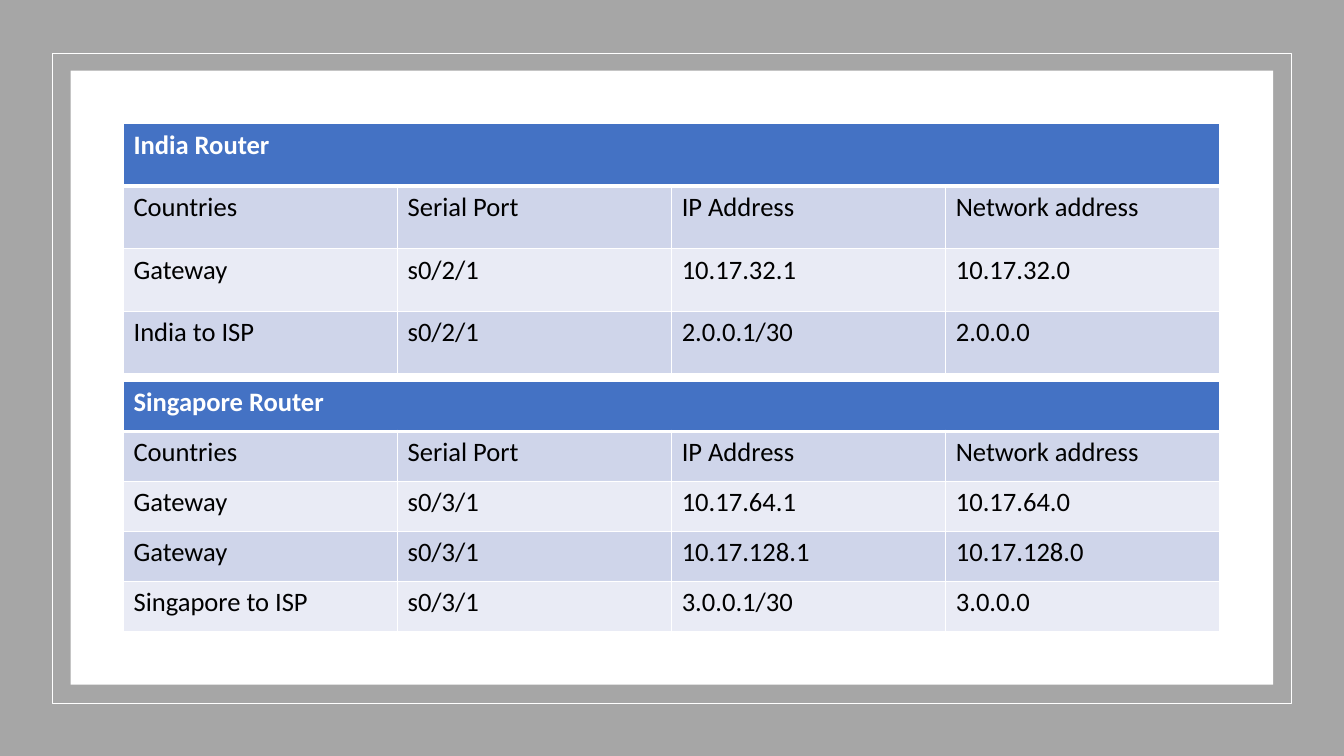
from dataclasses import dataclass

from lxml import etree
from pptx import Presentation
from pptx.dml.color import RGBColor
from pptx.enum import shapes
from pptx.oxml import ns
from pptx.util import Pt

# Content
HEADINGS = ("Countries", "Serial Port", "IP Address", "Network address")
ROUTERS = [
    ("India Router", [
        HEADINGS,
        ("Gateway", "s0/2/1", "10.17.32.1", "10.17.32.0"),
        ("India to ISP", "s0/2/1", "2.0.0.1/30", "2.0.0.0"),
    ]),
    ("Singapore Router", [
        HEADINGS,
        ("Gateway", "s0/3/1", "10.17.64.1", "10.17.64.0"),
        ("Gateway", "s0/3/1", "10.17.128.1", "10.17.128.0"),
        ("Singapore to ISP", "s0/3/1", "3.0.0.1/30", "3.0.0.0"),
    ]),
]


@dataclass(frozen=True)
class Theme:
    font: str = "Calibri"
    size: float = 19
    backdrop: str = "A6A6A6"
    white: str = "FFFFFF"
    text: str = "000000"
    title: str = "4472C4"
    bands: tuple = ("CFD5EA", "E9EBF5")
    rule: float = 1
    title_rule: float = 3


THEME = Theme()

# Layout, in points
PAGE_WIDTH, PAGE_HEIGHT = 960, 540
FRAME = (37.5, 38, 885, 464.5)
PANEL = (50.5, 50.5, 859, 438.5)
TABLE_LEFT, TABLE_TOP = 88.2, 88.4
TABLE_WIDTH, TABLE_HEIGHT = 783.2, 178.6
TABLE_STEP = 184


def add_rectangle(page, bounds, fill=None, line=None):
    box = page.shapes.add_shape(shapes.MSO_SHAPE.RECTANGLE, *map(Pt, bounds))
    box.shadow.inherit = False
    if fill:
        box.fill.solid()
        box.fill.fore_color.rgb = RGBColor.from_string(fill)
    else:
        box.fill.background()
    if line:
        box.line.color.rgb = RGBColor.from_string(line)
        box.line.width = Pt(THEME.rule)
    else:
        box.line.fill.background()


def add_borders(cell, bottom_width):
    properties = cell._tc.get_or_add_tcPr()
    for index, side in enumerate("LRTB"):
        width = bottom_width if side == "B" else THEME.rule
        border = etree.Element(ns.qn(f"a:ln{side}"), w=str(int(Pt(width))))
        fill = etree.SubElement(border, ns.qn("a:solidFill"))
        etree.SubElement(fill, ns.qn("a:srgbClr"), val=THEME.white)
        properties.insert(index, border)


def style_cell(cell, fill, bottom_width):
    cell.fill.solid()
    cell.fill.fore_color.rgb = RGBColor.from_string(fill)
    add_borders(cell, bottom_width)


def write_cell(cell, words, color, bold):
    span = cell.text_frame.paragraphs[0].add_run()
    span.text = words
    span.font.name = THEME.font
    span.font.size = Pt(THEME.size)
    span.font.bold = bold
    span.font.color.rgb = RGBColor.from_string(color)


def add_router_table(page, top, title, rows):
    row_count, column_count = len(rows) + 1, len(HEADINGS)
    table = page.shapes.add_table(
        row_count, column_count, Pt(TABLE_LEFT), Pt(top),
        Pt(TABLE_WIDTH), Pt(TABLE_HEIGHT)).table
    for column in table.columns:
        column.width = Pt(TABLE_WIDTH / column_count)
    for row in table.rows:
        row.height = Pt(TABLE_HEIGHT / row_count)

    # Title row across all columns
    table.cell(0, 0).merge(table.cell(0, column_count - 1))
    for column_index in range(column_count):
        style_cell(table.cell(0, column_index), THEME.title, THEME.title_rule)
    write_cell(table.cell(0, 0), title, THEME.white, True)

    # Banded rows
    for row_index, row in enumerate(rows):
        for column_index, words in enumerate(row):
            cell = table.cell(row_index + 1, column_index)
            style_cell(cell, THEME.bands[row_index % 2], THEME.rule)
            write_cell(cell, words, THEME.text, False)


def main():
    deck = Presentation()
    deck.slide_width, deck.slide_height = Pt(PAGE_WIDTH), Pt(PAGE_HEIGHT)
    page = deck.slides.add_slide(deck.slide_layouts[6])

    # Backdrop, frame line and white panel
    add_rectangle(page, (0, 0, PAGE_WIDTH, PAGE_HEIGHT), fill=THEME.backdrop)
    add_rectangle(page, FRAME, line=THEME.white)
    add_rectangle(page, PANEL, fill=THEME.white)

    # One table per router
    for index, (title, rows) in enumerate(ROUTERS):
        add_router_table(page, TABLE_TOP + index * TABLE_STEP, title, rows)

    deck.save("out.pptx")


if __name__ == "__main__":
    main()
